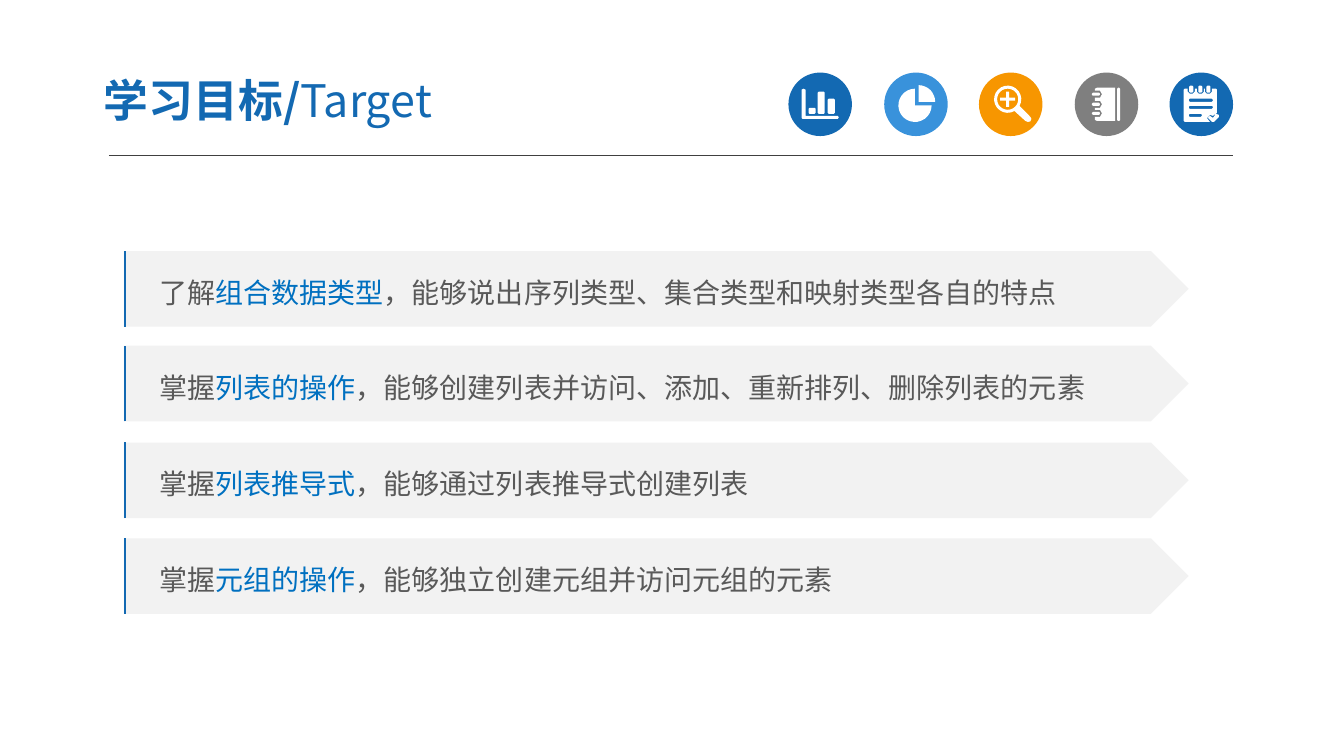
import math
from dataclasses import dataclass

from lxml import etree
from pptx import Presentation
from pptx import util as u
from pptx.dml.color import RGBColor
from pptx.enum import shapes, text
from pptx.oxml.ns import qn

PX = u.Inches(1) // 100
FINE = 10  # outline points are rounded to a tenth of a px


@dataclass(frozen=True)
class Theme:
    font: str = "Noto Sans CJK SC"
    blue: str = "1369B2"
    sky: str = "3992DB"
    orange: str = "F79600"
    grey: str = "7F7F7F"
    rule: str = "404040"
    band: str = "F2F2F2"
    body: str = "595959"
    accent: str = "0070C0"
    white: str = "FFFFFF"
    title_size: int = 32
    body_size: int = 20


THEME = Theme()

GOALS = [
    ("了解", "组合数据类型", "，能够说出序列类型、集合类型和映射类型各自的特点"),
    ("掌握", "列表的操作", "，能够创建列表并访问、添加、重新排列、删除列表的元素"),
    ("掌握", "列表推导式", "，能够通过列表推导式创建列表"),
    ("掌握", "元组的操作", "，能够独立创建元组并访问元组的元素"),
]


def px(*lengths):
    return [n * PX for n in lengths]


def add_run(p, words, size, color, bold=False):
    r = p.add_run()
    r.text = words
    r.font.size = u.Pt(size)
    r.font.bold = bold
    r.font.color.rgb = RGBColor.from_string(color)
    r.font.name = THEME.font
    etree.SubElement(r.font._element, qn("a:ea"), typeface=THEME.font)


def paint(sp, color):
    """Give a shape a plain fill without line or shadow."""
    sp.shadow.inherit = False
    sp.fill.solid()
    sp.fill.fore_color.rgb = RGBColor.from_string(color)
    sp.line.fill.background()


def add_solid(slide, kind, box, color):
    sp = slide.shapes.add_shape(kind, *px(*box))
    paint(sp, color)
    return sp


def add_outline(slide, left, top, contours, color):
    """Draw closed contours as one shape; inner contours cut holes."""
    fine = [[(x * FINE, y * FINE) for x, y in points] for points in contours]
    builder = slide.shapes.build_freeform(*fine[0][0], scale=PX / FINE)
    builder.add_line_segments(fine[0][1:], close=True)
    for points in fine[1:]:
        builder.move_to(*points[0])
        builder.add_line_segments(points[1:], close=True)
    paint(builder.convert_to_shape(left * PX, top * PX), color)


def add_line(slide, x1, y1, x2, y2, color, width):
    line = slide.shapes.add_connector(shapes.MSO_CONNECTOR.STRAIGHT, *px(x1, y1, x2, y2))
    line.line.color.rgb = RGBColor.from_string(color)
    line.line.width = u.Pt(width)
    etree.SubElement(line._element.spPr, qn("a:effectLst"))


def add_title(slide, box):
    sp = slide.shapes.title
    sp.left, sp.top, sp.width, sp.height = px(*box)
    tf = sp.text_frame
    tf.word_wrap = True
    tf.auto_size = text.MSO_AUTO_SIZE.NONE
    tf.vertical_anchor = text.MSO_ANCHOR.MIDDLE
    tf.margin_left, tf.margin_top, tf.margin_right, tf.margin_bottom = px(13, 7, 13, 7)
    p = tf.paragraphs[0]
    p.alignment = text.PP_ALIGN.LEFT
    add_run(p, "学习目标/", THEME.title_size, THEME.blue, bold=True)
    add_run(p, "Target", THEME.title_size, THEME.blue)


def bar(x, y, w, h, cut=1):
    """Rectangle with its corners cut off."""
    r, b = x + w, y + h
    return [(x + cut, y), (r - cut, y), (r, y + cut), (r, b - cut),
            (r - cut, b), (x + cut, b), (x, b - cut), (x, y + cut)]


def arc(cx, cy, radius, start, end, steps):
    angles = [math.radians(start + (end - start) * i / steps) for i in range(steps + 1)]
    return [(cx + radius * math.cos(a), cy + radius * math.sin(a)) for a in angles]


def bar_chart():
    axes = [(13, 17), (15, 16), (17, 17), (17, 43), (49, 43), (50, 44.5), (49, 46), (14, 46), (13, 45)]
    return [axes, bar(20, 35, 7, 6), bar(29, 19, 7, 22), bar(39, 26, 7, 15)]


def pie_chart():
    return [
        [(30.5, 32.5)] + arc(30.5, 32.5, 16.5, 0, 270, 20),
        [(34, 29)] + arc(34, 29, 16.5, 270, 360, 8),
    ]


def magnifier():
    rim = arc(28.5, 26.5, 13.5, 60, 390, 20)
    handle = [(51, 44), (52, 46), (51, 48.5), (48.5, 49), (46, 48)]
    plus = [(27, 19), (30, 19), (30, 25), (36, 25), (36, 28), (30, 28),
            (30, 34), (27, 34), (27, 28), (21, 28), (21, 25), (27, 25)]
    return [rim + handle, arc(28.5, 26.5, 10.5, 0, 345, 23), plus]


def notebook():
    ring_tops = (18, 28, 37)
    page = [(40, 48), (40, 15), (22, 15), (20, 16)]
    for y in ring_tops:
        page += [(20, y), (25, y), (27, y + 3.5), (25, y + 7), (20, y + 7)]
    page += [(20, 47), (22, 48)]
    return [page, bar(42, 15, 3, 33)] + [bar(17, y + 2, 8, 3) for y in ring_tops]


def notepad():
    ring_lefts = (18, 27, 35)
    page = [(14, 48), (14, 17), (15, 16)]
    for x in ring_lefts:
        page += [(x, 16), (x, 19), (x + 2, 21), (x + 5, 21), (x + 7, 19), (x + 7, 16)]
    page += [(46, 16), (47, 17), (47, 40), (43, 43), (40, 42), (37, 45), (40, 49), (15, 49)]
    tick = [(38, 45), (40, 43), (43, 45), (46, 41), (49, 42), (49, 44), (44, 49), (42, 49)]
    rings = [bar(x + 1.5, 13, 4, 7) for x in ring_lefts]
    rows = [bar(19, y, w, 3) for y, w in ((26, 24), (33, 24), (41, 13))]
    return [page, tick] + rings + rows


def add_icons(slide, left, top, width, size):
    icons = [
        (THEME.blue, bar_chart()),
        (THEME.sky, pie_chart()),
        (THEME.orange, magnifier()),
        (THEME.grey, notebook()),
        (THEME.blue, notepad()),
    ]
    pitch = (width - size) / (len(icons) - 1)
    for i, (color, contours) in enumerate(icons):
        x = left + math.ceil(i * pitch)
        add_solid(slide, shapes.MSO_SHAPE.OVAL, (x, top, size, size), color)
        add_outline(slide, x, top, contours, THEME.white)


def add_goal(slide, goal, left, top, width, height):
    sp = add_solid(slide, shapes.MSO_SHAPE.PENTAGON, (left, top, width, height), THEME.band)
    tf = sp.text_frame
    tf.word_wrap = True
    tf.vertical_anchor = text.MSO_ANCHOR.MIDDLE
    tf.margin_left = 35 * PX
    p = tf.paragraphs[0]
    p.alignment = text.PP_ALIGN.LEFT
    p.line_spacing = 1.2
    for words, color in zip(goal, (THEME.body, THEME.accent, THEME.body)):
        add_run(p, words, THEME.body_size, color)
    add_line(slide, left + 1, top + height, left + 1, top, THEME.blue, 1.5)


def add_goals(slide, left, tops, width, height):
    for goal, top in zip(GOALS, tops):
        add_goal(slide, goal, left, top, width, height)


def main():
    prs = Presentation()
    prs.slide_width, prs.slide_height = u.Inches(13.33), u.Inches(7.5)
    slide = prs.slides.add_slide(prs.slide_layouts[5])
    add_line(slide, 108, 154, 1223, 154, THEME.rule, 0.75)
    add_icons(slide, 782, 72, 441, 63)
    add_title(slide, (90, 63, 522, 72))
    add_goals(slide, 123, (249, 343, 439, 534), 1056, 75)
    prs.save("out.pptx")


if __name__ == "__main__":
    main()
